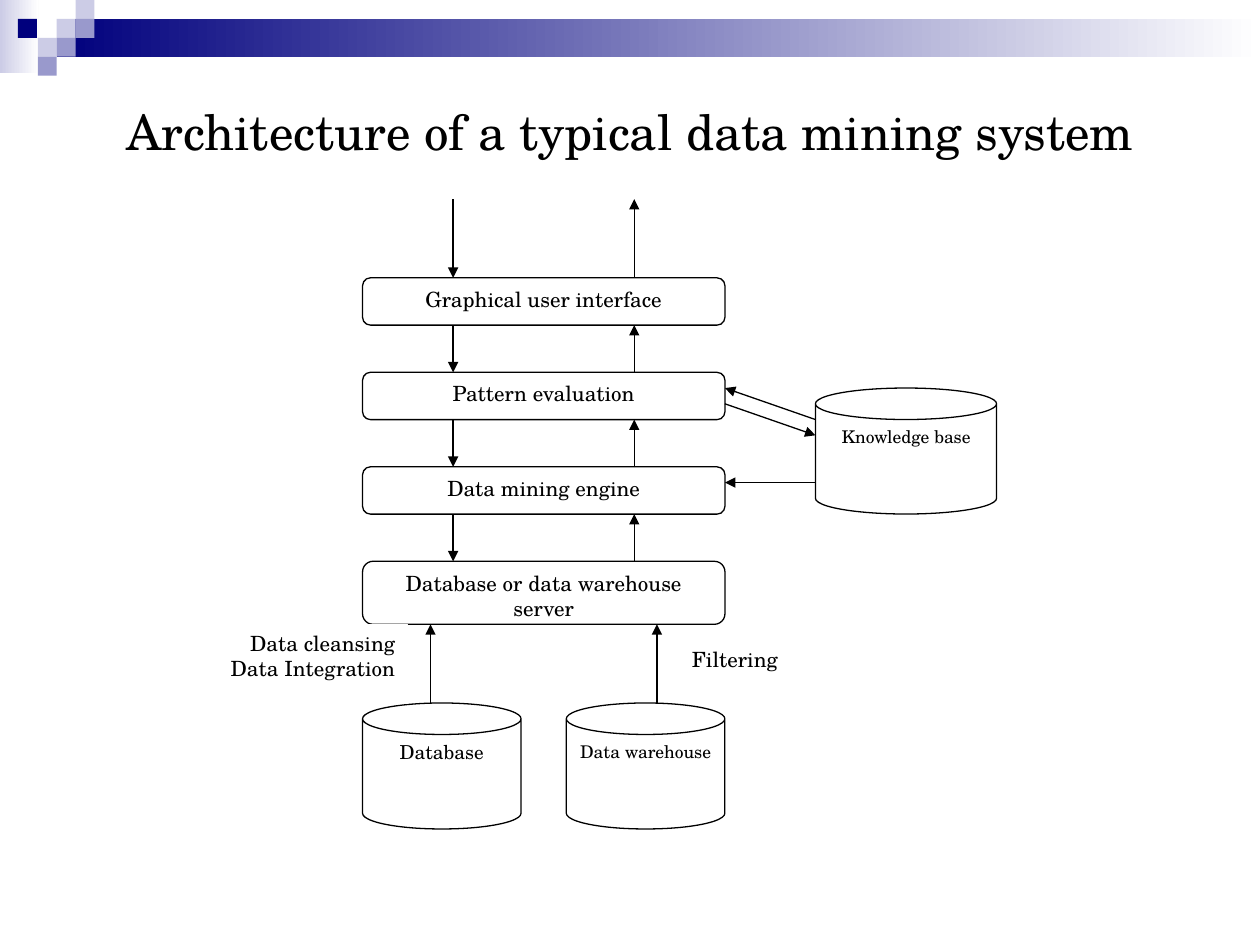
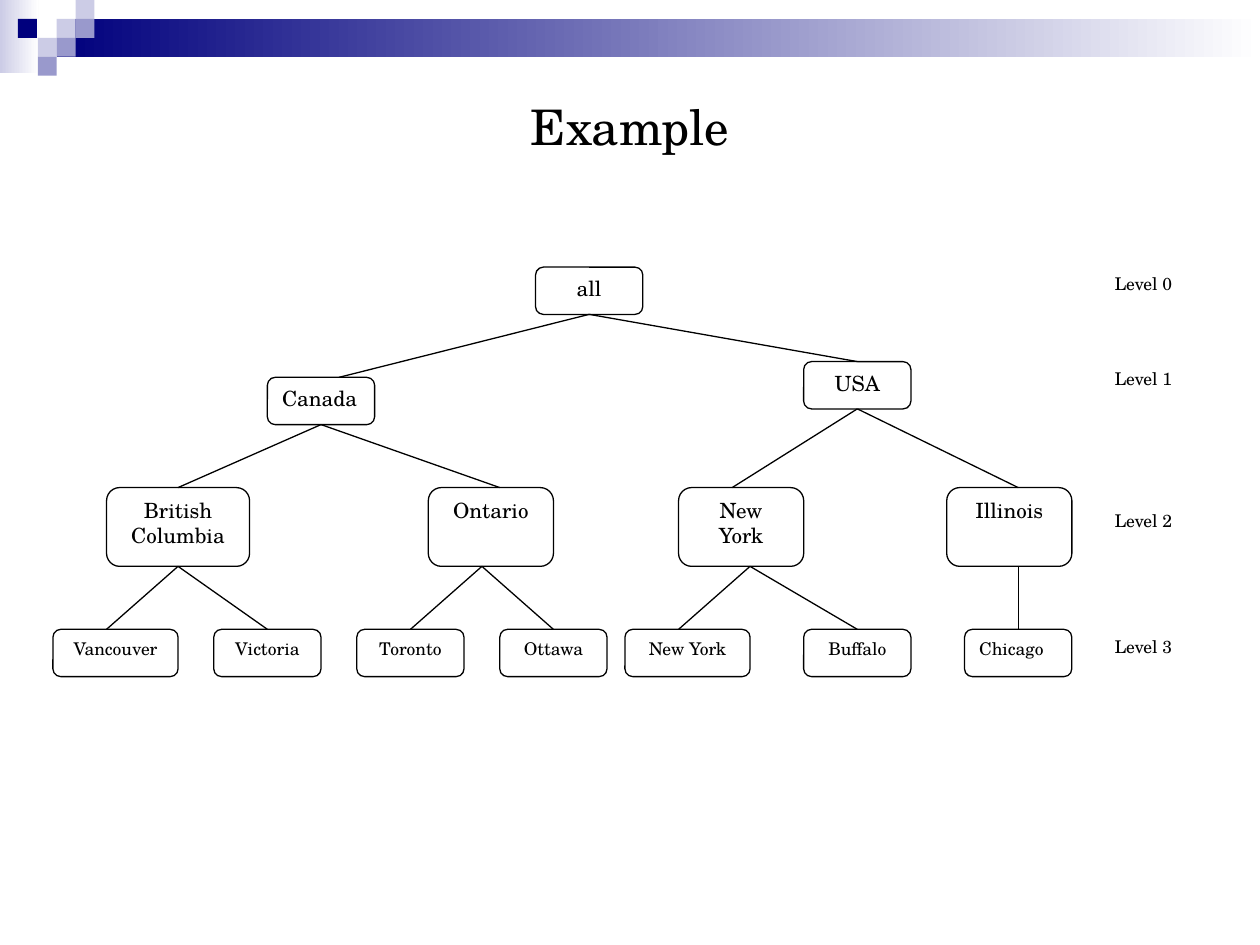
import dataclasses

import lxml.etree
import pptx
import pptx.dml.color
import pptx.enum.shapes
import pptx.enum.text
import pptx.oxml.ns
import pptx.util

FONT = "TeX Gyre Schola"
BLACK, WHITE = "000000", "FFFFFF"
NAVY, LILAC, PALE = "00007D", "9999CC", "CCCCE6"
SLIDE_WIDTH, SLIDE_HEIGHT = 10, 7.5
SHAPE = pptx.enum.shapes.MSO_SHAPE
ALIGN = pptx.enum.text.PP_ALIGN
ANCHOR = pptx.enum.text.MSO_ANCHOR


@dataclasses.dataclass
class Grid:
    left: float
    top: float
    width: float
    height: float
    columns: int
    rows: int

    def point(self, column, row):
        return (pptx.util.Inches(self.left + column * self.width / self.columns),
                pptx.util.Inches(self.top + row * self.height / self.rows))

    def cell(self, column, row, columns, rows):
        left, top = self.point(column, row)
        right, bottom = self.point(column + columns, row + rows)
        return left, top, right - left, bottom - top


def color(value):
    return pptx.dml.color.RGBColor.from_string(value)


def write(frame, lines, size, align):
    frame.word_wrap = True
    for index, line in enumerate(lines):
        paragraph = frame.add_paragraph() if index else frame.paragraphs[0]
        paragraph.alignment = align
        run = paragraph.add_run()
        run.text = line
        run.font.name = FONT
        run.font.size = pptx.util.Pt(size)
        run.font.color.rgb = color(BLACK)


def add_block(slide, kind, place, fill, line=None):
    block = slide.shapes.add_shape(kind, *place)
    block.shadow.inherit = False
    block.fill.solid()
    block.fill.fore_color.rgb = color(fill)
    if line:
        block.line.color.rgb = color(line)
        block.line.width = pptx.util.Pt(0.75)
    else:
        block.line.fill.background()
    return block


def add_node(slide, kind, place, lines, size=12, align=ALIGN.CENTER, line=BLACK):
    node = add_block(slide, kind, place, WHITE, line)
    node.text_frame.vertical_anchor = ANCHOR.TOP
    write(node.text_frame, lines, size, align)


def add_link(slide, grid, start, end, arrow=False):
    link = slide.shapes.add_connector(
        pptx.enum.shapes.MSO_CONNECTOR.STRAIGHT, *grid.point(*start), *grid.point(*end))
    link.line.color.rgb = color(BLACK)
    link.line.width = pptx.util.Pt(0.75)
    properties = link._element.spPr
    if arrow:
        head = lxml.etree.SubElement(link.line._get_or_add_ln(), pptx.oxml.ns.qn("a:tailEnd"))
        head.set("type", "triangle")
    lxml.etree.SubElement(properties, pptx.oxml.ns.qn("a:effectLst"))


def fade_to_white(block, start):
    block.fill.gradient()
    block.fill.gradient_angle = 0
    for stop, value in zip(block.fill.gradient_stops, (start, WHITE)):
        stop.color.rgb = color(value)


def add_header_band(slide, grid):
    for place, start in (((0, 0, 2.05, 3.85), PALE), ((3, 1, 63.67, 2), NAVY)):
        fade_to_white(add_block(slide, SHAPE.RECTANGLE, grid.cell(*place), start), start)
    squares = {PALE: [(3, 1), (4, 0), (2, 2)], NAVY: [(0.95, 1)], LILAC: [(4, 1), (3, 2), (2, 3)]}
    for fill, corners in squares.items():
        for corner in corners:
            add_block(slide, SHAPE.RECTANGLE, grid.cell(*corner, 1, 1), fill)


def add_titled_slide(deck, heading, title_height):
    slide = deck.slides.add_slide(deck.slide_layouts[5])
    title = slide.shapes.title
    margin = pptx.util.Inches(SLIDE_WIDTH * 0.05)
    title.left, title.top = margin, margin
    title.width = deck.slide_width - 2 * margin
    title.height = pptx.util.Inches(title_height)
    title.text_frame.vertical_anchor = ANCHOR.MIDDLE
    write(title.text_frame, [heading], 28, ALIGN.CENTER)
    add_header_band(slide, Grid(0, 0, SLIDE_WIDTH * 0.075, SLIDE_HEIGHT * 0.08, 5, 4))
    return slide


def add_architecture(slide, grid):
    layers = ["Graphical user interface", "Pattern evaluation", "Data mining engine",
              "Database or data warehouse server"]
    layer_height, layer_step, first_layer = 3, 6, 5
    request, reply = 14, 22
    for index, layer in enumerate(layers):
        top = first_layer + index * layer_step
        height = layer_height + (layer == layers[-1])
        add_node(slide, SHAPE.ROUNDED_RECTANGLE, grid.cell(10, top, 16, height), [layer])
        above = top - layer_step + layer_height if index else 0
        add_link(slide, grid, (request, above), (request, top), True)
        add_link(slide, grid, (reply, top), (reply, above), True)

    stores = [("Database", 10, 32, 7, 11), ("Data warehouse", 19, 32, 7, 10),
              ("Knowledge base", 30, 12, 8, 10)]
    for store, column, row, width, size in stores:
        add_node(slide, SHAPE.CAN, grid.cell(column, row, width, 8), [store], size)

    knowledge_links = [((26, 13), (30, 15)), ((30, 14), (26, 12)), ((30, 18), (26, 18))]
    loading_links = [((column, 32), (column, 27)) for column in (13, 23)]
    for start, end in knowledge_links + loading_links:
        add_link(slide, grid, start, end, True)

    captions = [(["Filtering"], (24, 28, 8, 3), ALIGN.LEFT),
                (["Data cleansing", "Data Integration"], (0, 27, 12, 5), ALIGN.RIGHT)]
    for lines, place, align in captions:
        add_node(slide, SHAPE.RECTANGLE, grid.cell(*place), lines, 12, align, WHITE)


def add_hierarchy(slide, grid):
    country_rows = {"Canada": 7, "USA": 6}
    regions = [("British Columbia", 3, 8), ("Ontario", 21, 7), ("New York", 35, 7), ("Illinois", 50, 7)]
    cities = [("Vancouver", 0, 7), ("Victoria", 9, 6), ("Toronto", 17, 6), ("Ottawa", 25, 6),
              ("New York", 32, 7), ("Buffalo", 42, 6), ("Chicago", 51, 6)]
    places = [("all", 27, 0, 6, 3, 12)]
    places += [(name, column, country_rows[name], 6, 3, 12)
               for name, column in (("Canada", 12), ("USA", 42))]
    places += [(name, column, 14, width, 5, 12) for name, column, width in regions]
    places += [(name, column, 23, width, 3, 10) for name, column, width in cities]
    for name, column, row, width, height, size in places:
        align = ALIGN.LEFT if name in ("Canada", "Chicago") else ALIGN.CENTER
        add_node(slide, SHAPE.ROUNDED_RECTANGLE, grid.cell(column, row, width, height),
                 [name], size, align)

    branches = {
        (30, 3): [(16, 7), (45, 6)],
        (15, 10): [(7, 14), (25, 14)],
        (45, 9): [(38, 14), (54, 14)],
        (7, 19): [(3, 23), (12, 23)],
        (24, 19): [(20, 23), (28, 23)],
        (39, 19): [(35, 23), (45, 23)],
        (54, 19): [(54, 23)],
    }
    for parent, children in branches.items():
        for child in children:
            add_link(slide, grid, parent, child)

    for level, row in enumerate((0, 6, 15, 23)):
        add_node(slide, SHAPE.RECTANGLE, grid.cell(58, row, 6, 3), [f"Level {level}"], 10, line=WHITE)


def main():
    deck = pptx.Presentation()
    deck.slide_width = pptx.util.Inches(SLIDE_WIDTH)
    deck.slide_height = pptx.util.Inches(SLIDE_HEIGHT)
    architecture = add_titled_slide(deck, "Architecture of a typical data mining system", 1.08)
    add_architecture(architecture, Grid(1.08, 1.58, 6.83, 5, 38, 40))
    example = add_titled_slide(deck, "Example", 1)
    add_hierarchy(example, Grid(0.42, 2.12, 9.08, 3.25, 64, 26))
    deck.save("out.pptx")


if __name__ == "__main__":
    main()
